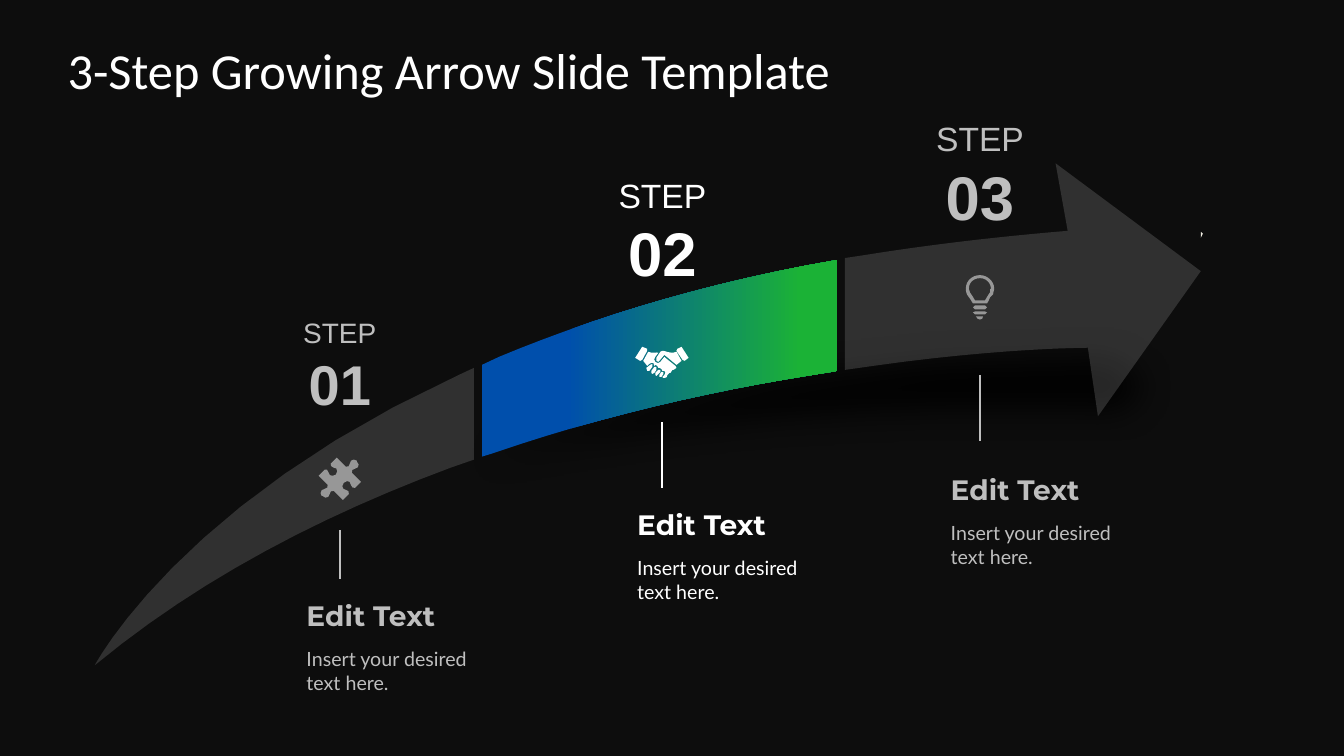
from dataclasses import dataclass
from math import dist
from lxml.etree import SubElement
from pptx import Presentation
from pptx.dml.color import RGBColor
from pptx.enum.shapes import MSO_CONNECTOR as Connector
from pptx.enum.text import MSO_ANCHOR as Anchor, MSO_AUTO_SIZE as AutoSize, PP_ALIGN as Align
from pptx.oxml.ns import qn
from pptx.util import Inches, Pt

WHITE, GREY, BLACK = "FFFFFF", "BFBFBF", "000000"
UNITS_PER_INCH, FINE = 100, 100
SEGMENT_LENGTH, MOST_SEGMENTS = 2.5 * FINE, 12

SHADOW = "-19 512; -19 512 236 147 978 160; 978 140 972 121 973 101; 1108 215; 993 348; 989 279; 989 279 321 241 -19 512"
HEAD = "953 0; 1097 107; 995 251; 985 183; 985 183 899 183 772 201; 744 205; 744 94; 764 91; 826 81 893 73 965 67"
MIDDLE = "736 96; 736 206; 705 211; 612 226 504 250 394 288; 384 291; 384 200; 401 192; 485 157 585 125 703 102"
TAIL = "376 203; 376 294; 353 302; 229 348 105 411 0 498; 0 498 85 336 361 210"
MARKER = "1097 68; 1099 70; 1097 74"

PUZZLE = (
    "27 32; 24 32 22 28 25 25; 28 22 32 23 32 27; 32 29 35 31 36 30; 42 24; 33 15; 32 13 34 11 36 11; "
    "40 11 41 6 38 4; 38 3; 35 1 31 2 31 6; 31 8 29 10 27 9; 18 0; 12 6; 11 7 13 10 15 10; "
    "18 9 20 14 17 17; 14 19 10 18 10 15; 10 13 7 10 6 12; 0 18; 9 27; 10 29 8 31 6 31; "
    "2 31 1 36 3 38; 4 38; 6 41 11 40 11 36; 11 34 13 32 15 33; 24 42; 30 36; 31 34 29 32 27 32"
)
HANDSHAKE = (
    "25 30; 24 30; 24 28; 26 25; 28 25; 28 27; 26 30"
    "| 21 29; 20 28; 20 26; 23 23; 25 23; 25 25; 22 28"
    "| 17 27; 16 26; 16 24; 19 20; 21 20; 21 23; 19 26"
    "| 13 24; 12 24; 11 21; 15 18; 17 17; 17 20; 14 24"
    "| 0 11; 5 14; 7 13; 12 4; 12 2; 7 0"
    "| 40 19; 30 11; 29 10; 25 15; 23 16; 22 16; 20 15; 19 14 18 11 20 10; 23 6; 21 5 17 7 13 5; "
    "8 14; 12 19; 14 17; 16 16; 18 16; 19 19; 20 18; 22 19; 23 21; 24 21; 26 22; 27 24; 29 24; 30 26; "
    "29 28; 27 30; 28 31; 29 31; 31 31 32 30 32 28; 34 26; 35 26; 37 23; 38 23; 40 23 41 22 41 21; 40 19"
    "| 53 11; 49 14; 47 13; 41 4; 42 2; 46 0"
    "| 41 5; 36 7 32 5 28 4; 27 4; 25 5; 21 11; 20 12 20 13 21 14; 23 15; 24 14; 29 8; 41 18; 46 14"
)
BULB = (
    "9 30; 19 30; 21 32; 19 34; 9 34; 7 32"
    "| 9 36; 19 36; 21 37; 19 39; 9 39; 7 37"
    "| 10 41; 11 43 12 44 14 44; 16 44 17 43 17 41"
    "| 14 0; 6 0 0 6 0 13; 0 14; 0 15 0 17 1 19; 3 22; 5 24 6 27 7 28; 20 28; "
    "21 28; 22 27 23 24 24 22; 27 19; 27 17 28 15 28 14; 28 13; 28 6 21 0 14 0"
    "| 24 14; 24 17; 22 20; 21 22 20 23 19 25; 9 25; 8 23 7 22 6 20; "
    "4 17; 3 14; 3 13; 3 7 8 3 14 3; 20 3 24 7 25 13"
)


@dataclass
class Step:
    number: str
    color: str
    label_at: tuple
    label_size: int
    number_size: int
    line_top: float
    line_height: float
    caption_at: tuple
    icon: str
    icon_at: tuple
    icon_opacity: int


STEPS = [
    Step("01", GREY, (2.68, 3.13), 20, 40, 5.26, 0.48, (3.04, 5.88), PUZZLE, (3.16, 4.54), 50),
    Step("02", WHITE, (5.88, 1.8), 24, 44, 4.19, 0.65, (6.32, 4.98), HANDSHAKE, (6.3, 3.44), 100),
    Step("03", GREY, (9.03, 1.24), 24, 44, 3.72, 0.66, (9.43, 4.63), BULB, (9.58, 2.73), 50),
]


def rgb(value):
    return RGBColor.from_string(value)


def apply_format(target, **values):
    for name, value in values.items():
        setattr(target, name, value)


def bezier(start, first, second, end):
    segments = min(MOST_SEGMENTS, max(1, round(dist(start, end) / SEGMENT_LENGTH)))
    for segment in range(1, segments + 1):
        t = segment / segments
        u = 1 - t
        yield tuple(
            a * u**3 + 3 * b * u * u * t + 3 * c * u * t * t + d * t**3
            for a, b, c, d in zip(start, first, second, end)
        )


def contour_points(contour):
    points = []
    for piece in contour.split(";"):
        numbers = [int(number) * FINE for number in piece.split()]
        pairs = list(zip(numbers[::2], numbers[1::2]))
        points += bezier(points[-1], *pairs) if len(pairs) == 3 else pairs
    return points


def add_outline(page, origin, outline, color=None, opacity=100):
    contours = [contour_points(contour) for contour in outline.split("|")]
    builder = page.shapes.build_freeform(*contours[0][0], scale=Inches(1) / UNITS_PER_INCH / FINE)
    builder.add_line_segments(contours[0][1:], close=True)
    for points in contours[1:]:
        builder.move_to(*points[0])
        builder.add_line_segments(points[1:], close=True)
    shape = builder.convert_to_shape(*map(Inches, origin))
    shape.shadow.inherit = False
    shape.line.fill.background()
    if color:
        shape.fill.solid()
        shape.fill.fore_color.rgb = rgb(color)
        if opacity < 100:
            tint = shape._element.spPr.find(f"{qn('a:solidFill')}/{qn('a:srgbClr')}")
            SubElement(tint, qn("a:alpha"), val=str(opacity * 1000))
    return shape


def add_arrow(page, origin):
    shadow = add_outline(page, origin, SHADOW, BLACK, 91)
    effects = shadow._element.spPr.find(qn("a:effectLst"))
    SubElement(effects, qn("a:softEdge"), rad=str(Pt(25)))
    add_outline(page, origin, HEAD, GREY, 20)
    middle = add_outline(page, origin, MIDDLE)
    middle.fill.gradient()
    middle.fill.gradient_angle = 0
    for stop, (position, color) in zip(middle.fill.gradient_stops, [(0.24, "004FAC"), (0.9, "1BB236")]):
        stop.position = position
        stop.color.rgb = rgb(color)
    add_outline(page, origin, TAIL, GREY, 20)
    add_outline(page, origin, MARKER, "EEECE1")


def write_para(para, text, color, align=Align.LEFT, **font):
    para.alignment = align
    span = para.add_run()
    span.text = text
    apply_format(span.font, **font)
    span.font.color.rgb = rgb(color)


def add_text(page, left, top, width, height, **frame_format):
    box = page.shapes.add_textbox(*map(Inches, (left, top, width, height)))
    frame = box.text_frame
    apply_format(frame, word_wrap=True, margin_left=0, margin_right=0, **frame_format)
    return frame


def add_step(page, step):
    left, top = step.label_at
    label = add_text(page, left, top, 1.38, 1, margin_top=0, margin_bottom=0, vertical_anchor=Anchor.MIDDLE)
    write_para(label.paragraphs[0], "STEP", step.color, Align.CENTER, size=Pt(step.label_size), name="Arial")
    write_para(label.add_paragraph(), step.number, step.color, Align.CENTER,
               size=Pt(step.number_size), name="Arial", bold=True)

    center = left + 0.69
    ends = (center, step.line_top, center, step.line_top + step.line_height)
    line = page.shapes.add_connector(Connector.STRAIGHT, *map(Inches, ends))
    line.line.color.rgb = rgb(step.color)
    line.line.width = Pt(1.5)
    SubElement(line._element.spPr, qn("a:effectLst"))

    left, top = step.caption_at
    heading = add_text(page, left, top, 1.84, 0.44, vertical_anchor=Anchor.BOTTOM, auto_size=AutoSize.SHAPE_TO_FIT_TEXT)
    write_para(heading.paragraphs[0], "Edit Text", step.color, size=Pt(20), name="Montserrat", bold=True)
    body = add_text(page, left, top + 0.49, 1.84, 0.57, auto_size=AutoSize.SHAPE_TO_FIT_TEXT)
    write_para(body.paragraphs[0], "Insert your desired text here.", step.color, size=Pt(14), name="Lato")
    add_outline(page, step.icon_at, step.icon, WHITE, step.icon_opacity)


def add_title(page, text):
    title = page.shapes.title
    apply_format(title, left=Inches(0.67), top=Inches(0.3), width=Inches(12), height=Inches(0.78))
    apply_format(title.text_frame, margin_left=0, margin_right=0, margin_top=0, margin_bottom=0,
                 vertical_anchor=Anchor.MIDDLE, word_wrap=False)
    write_para(title.text_frame.paragraphs[0], text, WHITE, size=Pt(36), name="Calibri")


def main():
    deck = Presentation()
    apply_format(deck, slide_width=Inches(13.33), slide_height=Inches(7.5))
    page = deck.slides.add_slide(deck.slide_layouts[5])
    page.background.fill.solid()
    page.background.fill.fore_color.rgb = rgb("0D0D0D")
    add_arrow(page, (0.94, 1.62))
    add_title(page, "3-Step Growing Arrow Slide Template")
    for step in STEPS:
        add_step(page, step)
    deck.save("out.pptx")


if __name__ == "__main__":
    main()
